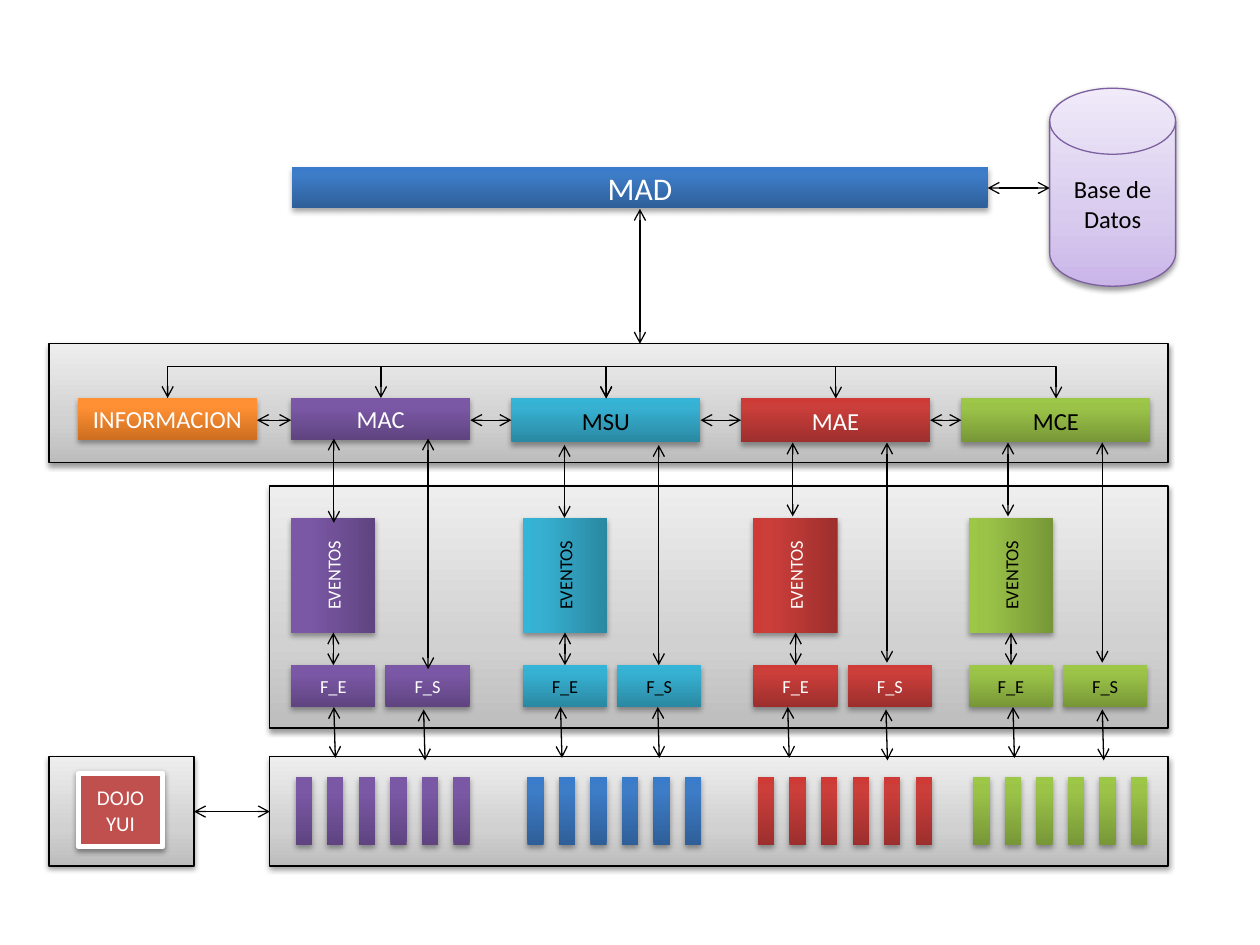
from dataclasses import dataclass
from itertools import pairwise

from lxml.etree import SubElement
from pptx import Presentation
from pptx.dml.color import RGBColor
from pptx.enum.shapes import MSO_CONNECTOR as Link, MSO_SHAPE as Shape
from pptx.enum.text import MSO_ANCHOR as Anchor, PP_ALIGN as Align
from pptx.oxml.ns import qn
from pptx.util import Cm, Pt

GREY = ("BDBDBD", "D1D1D1", "EEEEEE")
LILAC = ("C9B5E8", "D8CBEE", "F0EAF9")
PURPLE = ("5F4480", "7B58A6", "7C57A8")
TEAL = ("2A88A2", "37B1D2", "34B4D6")
RED = ("9C2F2D", "CB3E3A", "CE3B37")
GREEN = ("779737", "9BC348", "9DC746")
ORANGE = ("CC6E20", "FF9034", "FF9136")
BLUE = ("2F5F99", "3D7CC7", "3A7CCB")
WHITE, BLACK = "FFFFFF", "000000"

MODULE_TOP, BUS_Y = 8.03, 7.39
MODULES = (
    ("INFORMACION", 1.57, 3.61, 0.84, ORANGE, WHITE),
    ("MAC", 5.87, 3.61, 0.84, PURPLE, WHITE),
    ("MSU", 10.31, 3.81, 0.89, TEAL, BLACK),
    ("MAE", 14.94, 3.81, 0.89, RED, WHITE),
    ("MCE", 19.38, 3.81, 0.89, GREEN, BLACK),
)


@dataclass
class Column:
    """One module's events, filters and bars, with the ends of its arrows."""

    left: float
    colours: tuple
    bar_colours: tuple
    ink: str
    arrow_x: float
    arrow_top: float
    event_end: float
    output_end: float
    lower_x: tuple
    output_lower_top: float


COLUMNS = (
    Column(5.87, PURPLE, PURPLE, WHITE, 0.86, 8.84, 10.54, 13.49, (0.86, 2.67), 14.3),
    Column(10.54, TEAL, BLUE, BLACK, 0.84, 8.97, 10.44, 13.41, (0.76, 2.72), 14.25),
    Column(15.19, RED, RED, WHITE, 0.79, 8.92, 10.41, 13.36, (0.69, 2.67), 14.3),
    Column(19.53, GREEN, GREEN, BLACK, 0.79, 8.92, 10.41, 13.36, (0.89, 2.69), 14.3),
)


def colour(code):
    """Turn a hex string into a colour."""
    return RGBColor.from_string(code)


def paint(box, colours):
    """Fill a box with one colour or with a three-stop upward gradient."""
    if isinstance(colours, str):
        box.fill.solid()
        box.fill.fore_color.rgb = colour(colours)
        return
    box.fill.gradient()
    box.fill.gradient_angle = 90
    stops = box.element.spPr.find(qn("a:gradFill")).find(qn("a:gsLst"))
    for stop in list(stops):
        stops.remove(stop)
    middle = 35000 if colours in (GREY, LILAC) else 80000
    for place, code in zip((0, middle, 100000), colours):
        stop = SubElement(stops, qn("a:gs"), pos=str(place))
        SubElement(stop, qn("a:srgbClr"), val=code)


def cast_shadow(box, distance, opacity):
    """Give a box a soft shadow straight below it."""
    box.shadow.inherit = False
    effects = box.element.spPr.find(qn("a:effectLst"))
    shadow = SubElement(effects, qn("a:outerShdw"), blurRad="40000",
                        dist=str(distance), dir="5400000", rotWithShape="0")
    tone = SubElement(shadow, qn("a:srgbClr"), val=BLACK)
    SubElement(tone, qn("a:alpha"), val=str(opacity))


def write(box, text, size, ink):
    """Put centred text in a box."""
    frame = box.text_frame
    frame.word_wrap = True
    frame.vertical_anchor = Anchor.MIDDLE
    para = frame.paragraphs[0]
    para.alignment = Align.CENTER
    span = para.add_run()
    span.text = text
    span.font.name = "Calibri"
    span.font.size = Pt(size)
    span.font.color.rgb = colour(ink)


def add_box(page, left, top, width, height, colours, text="", size=10.5, ink=WHITE,
            line=None, weight=0.75, kind=Shape.RECTANGLE):
    """Add a shadowed box, outlined only if a line colour is given."""
    box = page.shapes.add_shape(kind, Cm(left), Cm(top), Cm(width), Cm(height))
    paint(box, colours)
    if line:
        box.line.color.rgb = colour(line)
        box.line.width = Pt(weight)
        cast_shadow(box, 20000, 38000)
    else:
        box.line.fill.background()
        cast_shadow(box, 23000, 35000)
    if text:
        write(box, text, size, ink)
    return box


def add_arrow(page, x1, y1, x2, y2, kind=Link.STRAIGHT):
    """Add a thin black connector with an open arrowhead at both ends."""
    arrow = page.shapes.add_connector(kind, Cm(x1), Cm(y1), Cm(x2), Cm(y2))
    arrow.line.color.rgb = colour(BLACK)
    arrow.line.width = Pt(0.75)
    stroke = arrow.line._get_or_add_ln()
    for end in ("a:headEnd", "a:tailEnd"):
        SubElement(stroke, qn(end), type="arrow")
    SubElement(arrow._element.spPr, qn("a:effectLst"))
    return arrow


def add_bus(page, start, end):
    """Add an elbow arrow that rises to the bus line between two modules."""
    middle, half, depth = (start + end) / 2, (end - start) / 2, 0.01
    arrow = add_arrow(page, middle + depth, MODULE_TOP - half,
                      middle, MODULE_TOP + half, Link.ELBOW)
    properties = arrow._element.spPr
    properties.find(qn("a:xfrm")).set("rot", "16200000")
    geometry = properties.find(qn("a:prstGeom"))
    adjustments = geometry.find(qn("a:avLst"))
    if adjustments is None:
        adjustments = SubElement(geometry, qn("a:avLst"))
    rise = round((BUS_Y - MODULE_TOP) / depth * 100000)
    SubElement(adjustments, qn("a:gd"), name="adj1", fmla=f"val {rise}")


def add_modules(page):
    """Add the row of modules and the arrows that join them."""
    for name, left, width, height, colours, ink in MODULES:
        add_box(page, left, MODULE_TOP, width, height, colours, name, 14, ink)
    for (_, left, width, *_), (_, following, *_) in pairwise(MODULES):
        add_arrow(page, left + width, 8.47, following, 8.47)
    centres = [left + width / 2 for _, left, width, *_ in MODULES]
    for start, end in ((0, 4), (1, 2), (2, 3)):
        add_bus(page, centres[start], centres[end])


def add_column(page, column):
    """Add a column's boxes, bars and arrows."""
    left, ink = column.left, column.ink
    middle = left + 0.85
    events = add_box(page, middle - 1.16, 10.75, 2.32, 1.7, column.colours,
                     "EVENTOS", ink=ink)
    events.rotation = 270
    for text, offset in (("F_E", 0), ("F_S", 1.9)):
        add_box(page, left + offset, 13.41, 1.7, 0.84, column.colours, text, ink=ink)
    for index in range(6):
        add_box(page, left + 0.09 + index * 3.18 / 5, 15.67, 0.33, 1.37,
                column.bar_colours)
    event_x = left + column.arrow_x
    output_x = event_x + 1.9
    add_arrow(page, event_x, column.arrow_top, event_x, column.event_end)
    add_arrow(page, output_x, column.arrow_top, output_x, column.output_end)
    add_arrow(page, middle, 12.75, middle, 13.41)
    for offset, top in zip(column.lower_x, (14.25, column.output_lower_top)):
        add_arrow(page, left + offset, top, left + offset + 0.03, top + 1.03)


def main():
    """Build the architecture diagram."""
    deck = Presentation()
    deck.slide_width, deck.slide_height = Cm(25.4), Cm(19.05)
    page = deck.slides.add_slide(deck.slide_layouts[6])
    for panel in ((0.99, 6.93, 22.56, 2.39), (5.44, 9.8, 18.11, 4.88),
                  (5.44, 15.25, 18.11, 2.21), (0.99, 15.25, 2.92, 2.21)):
        add_box(page, *panel, GREY, line=BLACK)
    add_box(page, 21.16, 1.78, 2.54, 3.99, LILAC, "Base de Datos", 14, BLACK,
            line="7D60A0", kind=Shape.FLOWCHART_MAGNETIC_DISK)
    add_box(page, 5.89, 3.36, 14.02, 0.84, BLUE, "MAD", 18)
    add_box(page, 1.58, 15.59, 1.7, 1.48, "C0504D", "DOJO YUI", 12,
            line=WHITE, weight=3)
    add_modules(page)
    for column in COLUMNS:
        add_column(page, column)
    add_arrow(page, 19.91, 3.79, 21.16, 3.79)
    add_arrow(page, 12.9, 4.21, 12.9, 6.93)
    add_arrow(page, 5.44, 16.36, 3.91, 16.36)
    deck.save("out.pptx")


if __name__ == "__main__":
    main()
